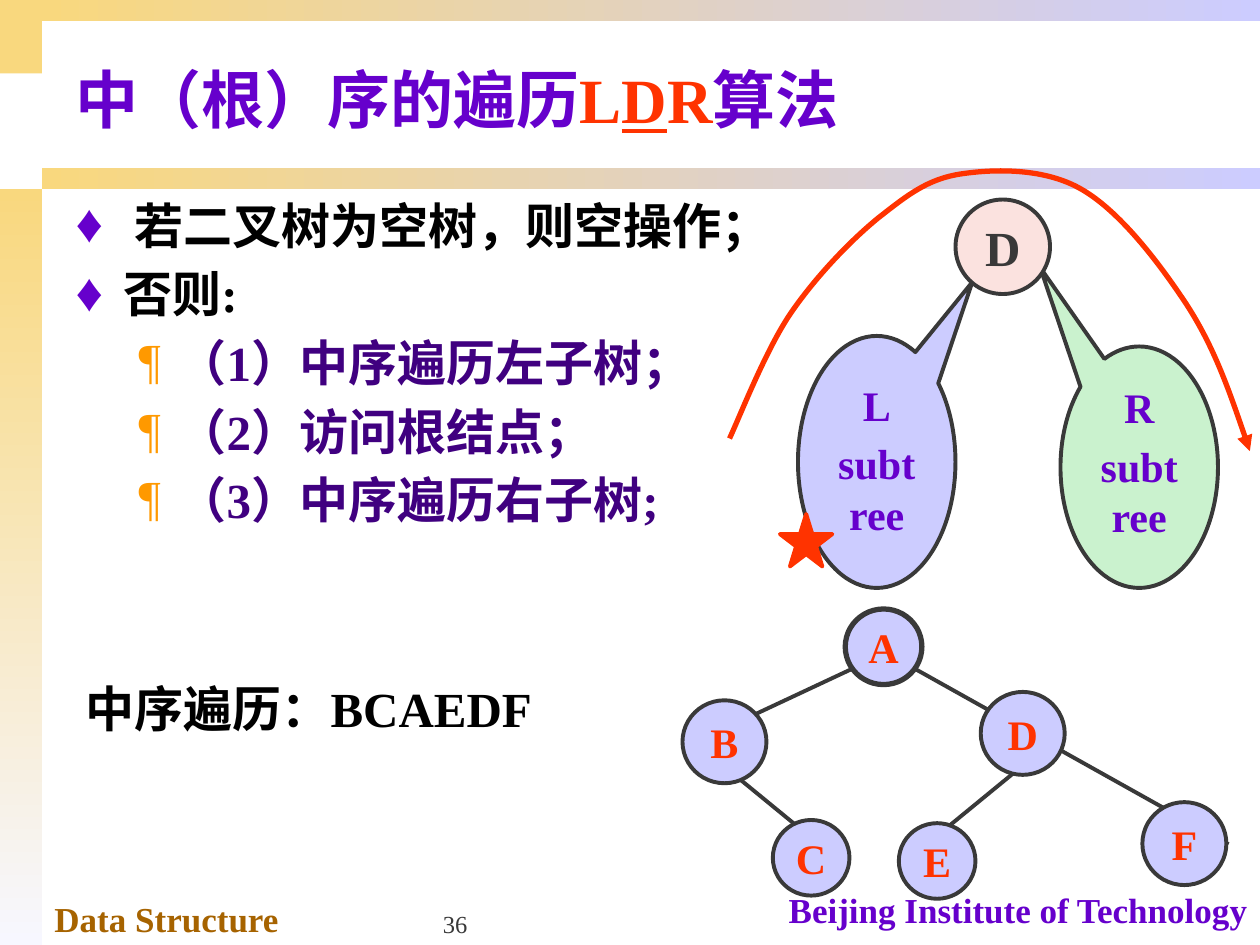
from typing import NamedTuple

from lxml import etree
from pptx import Presentation, util as u
from pptx.dml.color import RGBColor
from pptx.enum import shapes, text
from pptx.oxml import ns

FONT = "Times New Roman"
GOLD = RGBColor(0xF9, 0xD8, 0x7E)
PALE = RGBColor(0xF7, 0xF7, 0xFF)
LAVENDER = RGBColor(0xCC, 0xCC, 0xFF)
GREEN = RGBColor(0xCA, 0xF2, 0xCE)
PINK = RGBColor(0xFB, 0xE2, 0xDF)
PURPLE = RGBColor(0x66, 0x00, 0xCC)
INDIGO = RGBColor(0x40, 0x00, 0x80)
BROWN = RGBColor(0xA6, 0x63, 0x00)
ORANGE = RGBColor(0xFF, 0x99, 0x00)
RED = RGBColor(0xFF, 0x33, 0x00)
DARK = RGBColor(0x39, 0x39, 0x39)
BLACK = RGBColor(0, 0, 0)

# The slide is a grid of 120 columns by 90 rows
CELL = u.Inches(10) // 120
LEFT, CENTER, RIGHT = text.PP_ALIGN.LEFT, text.PP_ALIGN.CENTER, text.PP_ALIGN.RIGHT
TOP, MIDDLE, BOTTOM = text.MSO_ANCHOR.TOP, text.MSO_ANCHOR.MIDDLE, text.MSO_ANCHOR.BOTTOM
SHAPE = shapes.MSO_SHAPE


class Box(NamedTuple):
    column: float
    row: float
    columns: float
    rows: float

    def inner(self, column, row, columns, rows):
        return Box(self.column + column, self.row + row, columns, rows)

    def point(self, column, row):
        return round((self.column + column) * CELL), round((self.row + row) * CELL)

    def emu(self):
        return [round(value * CELL) for value in self]


def add_child(parent, tag, **attributes):
    return etree.SubElement(parent, ns.qn(tag), **attributes)


def format_font(font, size, color, bold=True):
    font.name, font.size, font.bold = FONT, u.Pt(size), bold
    font.color.rgb = color


def write(shape, wording, size, color, align=LEFT, anchor=TOP, bold=True, wrap=True):
    frame = shape.text_frame
    frame.text = wording
    frame.word_wrap = wrap
    frame.vertical_anchor = anchor
    for index, paragraph in enumerate(frame.paragraphs):
        paragraph.alignment = align
        if index:
            paragraph.space_before = u.Pt(size * 0.2)
        for run in paragraph.runs:
            format_font(run.font, size, color, bold)


def add_label(slide, box, wording, size, color, **options):
    write(slide.shapes.add_textbox(*box.emu()), wording, size, color, **options)


def add_filled(slide, kind, box, fill, line=DARK, width=2.25):
    shape = slide.shapes.add_shape(kind, *box.emu())
    shape.shadow.inherit = False
    shape.fill.solid()
    shape.fill.fore_color.rgb = fill
    shape.line.color.rgb = line
    shape.line.width = u.Pt(width)
    return shape


def add_bar(slide, box, end=GOLD, angle=0):
    bar = add_filled(slide, SHAPE.RECTANGLE, box, GOLD)
    bar.line.fill.background()
    if end != GOLD:
        bar.fill.gradient()
        bar.fill.gradient_angle = angle
        for stop, color in zip(bar.fill.gradient_stops, (GOLD, end)):
            stop.color.rgb = color


def add_frame(slide, box):
    """Gold side bars and the two horizontal bands."""
    side, band = 4, 2
    add_bar(slide, box.inner(0, 0, side, 7))
    add_bar(slide, box.inner(0, 18, side, box.rows - 18), PALE, 270)
    for row in (16, 0):
        add_bar(slide, box.inner(side, row, box.columns - side, band), LAVENDER)


def add_footer(slide, box):
    add_label(slide, box.inner(0, 0.84, 42, 5.16), "Data Structure", 20, BROWN)
    add_label(slide, box.inner(69, 0, 47, 5.16), "Beijing Institute of Technology",
              20, PURPLE, align=RIGHT)
    add_label(slide, box.inner(37, 0, 25, 6), "36", 14, DARK, anchor=BOTTOM, bold=False)


def place(placeholder, box):
    placeholder.left, placeholder.top, placeholder.width, placeholder.height = box.emu()
    placeholder.text_frame.auto_size = text.MSO_AUTO_SIZE.NONE


def add_title(slide, box):
    title = slide.shapes.title
    place(title, box)
    title.text_frame.vertical_anchor = MIDDLE
    paragraph = title.text_frame.paragraphs[0]
    paragraph.alignment = LEFT
    for wording, color in (("中（根）序的遍历", PURPLE), ("L", RED), ("D", RED),
                           ("R", RED), ("算法", PURPLE)):
        run = paragraph.add_run()
        run.text = wording
        format_font(run.font, 36, color)
        run.font.underline = wording == "D"


def add_bullet(paragraph, character, color, size, margin, indent):
    properties = paragraph._p.get_or_add_pPr()
    properties.set("marL", str(u.Inches(margin)))
    properties.set("indent", str(-u.Inches(indent)))
    add_child(add_child(properties, "a:buClr"), "a:srgbClr", val=str(color))
    add_child(properties, "a:buSzPct", val=str(size * 1000))
    add_child(properties, "a:buFont", typeface=FONT)
    add_child(properties, "a:buChar", char=character)


def add_steps(slide, box):
    body = slide.placeholders[1]
    place(body, box)
    steps = ((0, " 若二叉树为空树，则空操作；"), (0, "否则:"), (1, "（1）中序遍历左子树；"),
             (1, "（2）访问根结点；"), (1, "（3）中序遍历右子树;"))
    levels = ((BLACK, ("♦", PURPLE, 110, 0.38, 0.38)),
              (INDIGO, ("¶", ORANGE, 100, 0.81, 0.31)))
    body.text_frame.text = "\n".join(wording for _, wording in steps)
    for index, (level, _) in enumerate(steps):
        color, bullet = levels[level]
        paragraph = body.text_frame.paragraphs[index]
        paragraph.level = level
        add_bullet(paragraph, *bullet)
        paragraph.space_before = u.Pt(5.6 if index else 0)
        format_font(paragraph.runs[0].font, 28, color)


def add_visit_arrow(slide, box):
    """Curve over the root; each three points after the first make one Bézier piece."""
    points = [box.point(*point) for point in (
        (0.48, 25.76), (1.44, 23.72), (3.96, 17.24), (6.36, 13.76),
        (8.76, 10.28), (12, 6.92), (14.64, 4.76), (17.4, 2.6), (19.32, 1.04),
        (22.56, 0.56), (25.8, 0.08), (30.48, 0), (33.96, 2), (37.56, 4.04),
        (41.28, 8.84), (44.04, 13.04), (46.68, 17.12), (48.36, 22.04), (50.04, 26.96))]
    builder = slide.shapes.build_freeform(*points[0])
    builder.add_line_segments(points[1:], close=False)
    curve = builder.convert_to_shape()
    segments = list(curve._element.iter(ns.qn("a:lnTo")))
    for start in range(0, len(segments), 3):
        first, *others = segments[start:start + 3]
        first.tag = ns.qn("a:cubicBezTo")
        for segment in others:
            first.append(segment[0])
            segment.getparent().remove(segment)
    curve.shadow.inherit = False
    curve.fill.background()
    curve.line.color.rgb = RED
    curve.line.width = u.Pt(3)
    add_child(curve.line._get_or_add_ln(), "a:tailEnd", type="triangle")


def add_traversal_order(slide, box):
    """Root with its two subtrees, the starting star and the visiting arrow."""
    for part, adjustments, fill, wording, margin in (
            ((7, 16, 15, 24), (0.607, -0.714), LAVENDER, "L\nsubtree", 0.05),
            ((32, 17, 15, 23), (-0.629, -0.827), GREEN, "R\nsubtree", 0)):
        subtree = add_filled(slide, SHAPE.OVAL_CALLOUT, box.inner(*part), fill)
        for index, value in enumerate(adjustments):
            subtree.adjustments[index] = value
        write(subtree, wording, 24, PURPLE, CENTER)
        frame = subtree.text_frame
        frame.margin_top = frame.margin_bottom = u.Inches(margin)
    root = add_filled(slide, SHAPE.OVAL, box.inner(22, 3, 9, 9), PINK)
    write(root, "D", 28, DARK, CENTER, MIDDLE, wrap=False)
    add_filled(slide, SHAPE.STAR_5_POINT, box.inner(5.28, 32.96, 5, 5), RED, RED)
    add_visit_arrow(slide, box)


def add_example_tree(slide, box):
    """Edges first, so that the nodes cover their ends."""
    for start, end in (((32.3, 15), (24, 21.8)), ((21.6, 5.4), (52, 22.4)),
                       ((16.8, 5.4), (1, 12.8)), ((5.2, 16), (13.5, 22.8))):
        edge = slide.shapes.add_connector(shapes.MSO_CONNECTOR.STRAIGHT,
                                          *box.point(*start), *box.point(*end))
        edge.line.color.rgb = DARK
        edge.line.width = u.Pt(2.25)
        add_child(edge._element.spPr, "a:effectLst")
    small, large = (7.3, 7.2), (8, 7.9)
    for name, place_in_tree, size, width in (
            ("A", (15.5, 0), small, 3), ("B", (0, 8.7), large, 2.25),
            ("C", (8.6, 20.1), small, 2.25), ("D", (28.4, 7.9), large, 2.25),
            ("F", (43.8, 18.4), large, 2.25), ("E", (20.6, 20.4), small, 2.25)):
        node = add_filled(slide, SHAPE.OVAL, box.inner(*place_in_tree, *size),
                          LAVENDER, width=width)
        write(node, name, 24, RED, CENTER, MIDDLE, wrap=False)


def main():
    presentation = Presentation()
    presentation.slide_width, presentation.slide_height = 120 * CELL, 90 * CELL
    slide = presentation.slides.add_slide(presentation.slide_layouts[1])
    add_frame(slide, Box(0, 0, 120, 90))
    add_footer(slide, Box(4, 84, 116, 6))
    add_title(slide, Box(6, 3, 114, 12.8))
    add_steps(slide, Box(6, 18, 75, 65))
    add_traversal_order(slide, Box(69, 16, 51, 40))
    add_example_tree(slide, Box(65, 58, 52, 28))
    add_label(slide, Box(7, 64, 50, 6.8), "中序遍历：BCAEDF", 28, BLACK)
    presentation.save("out.pptx")


if __name__ == "__main__":
    main()
